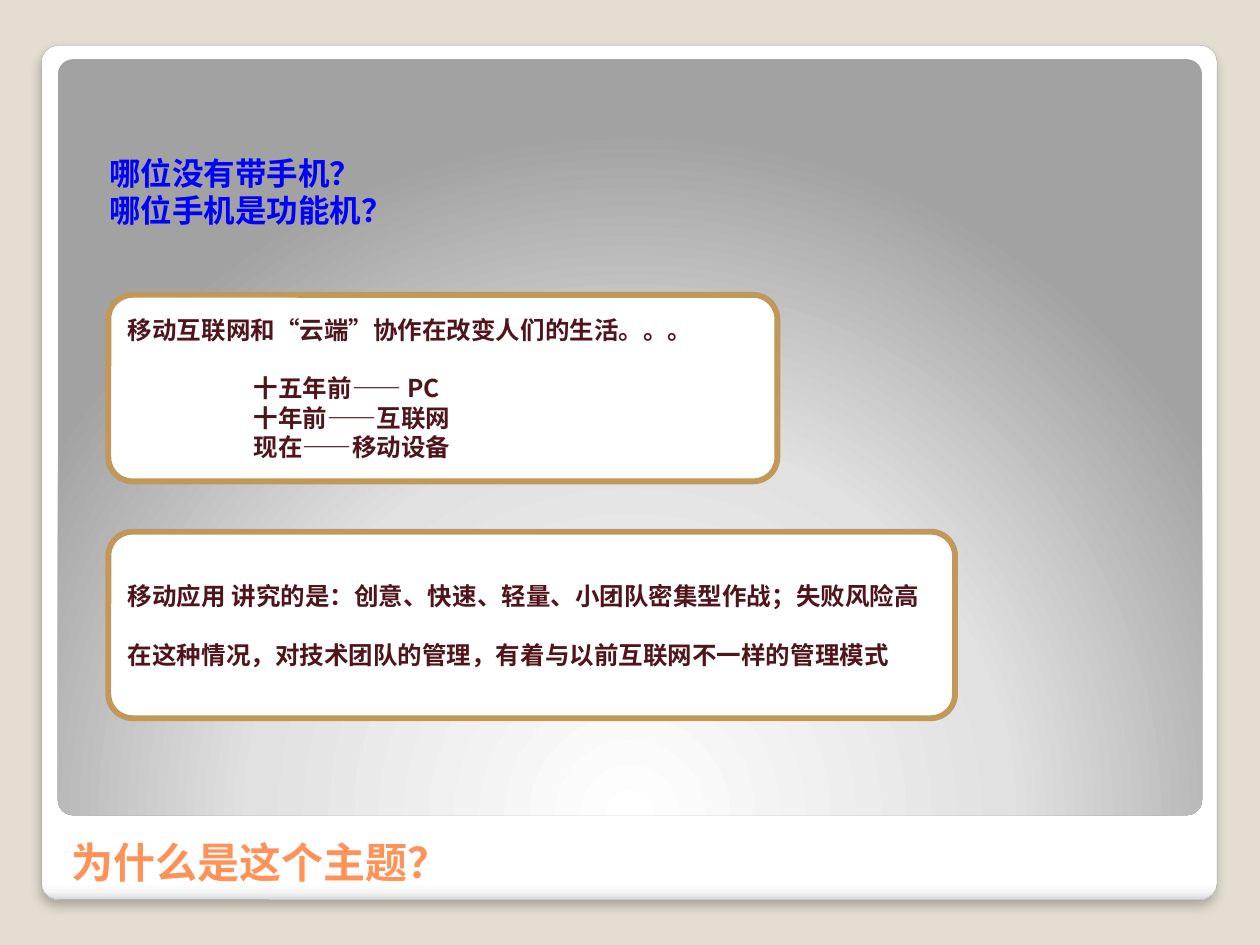
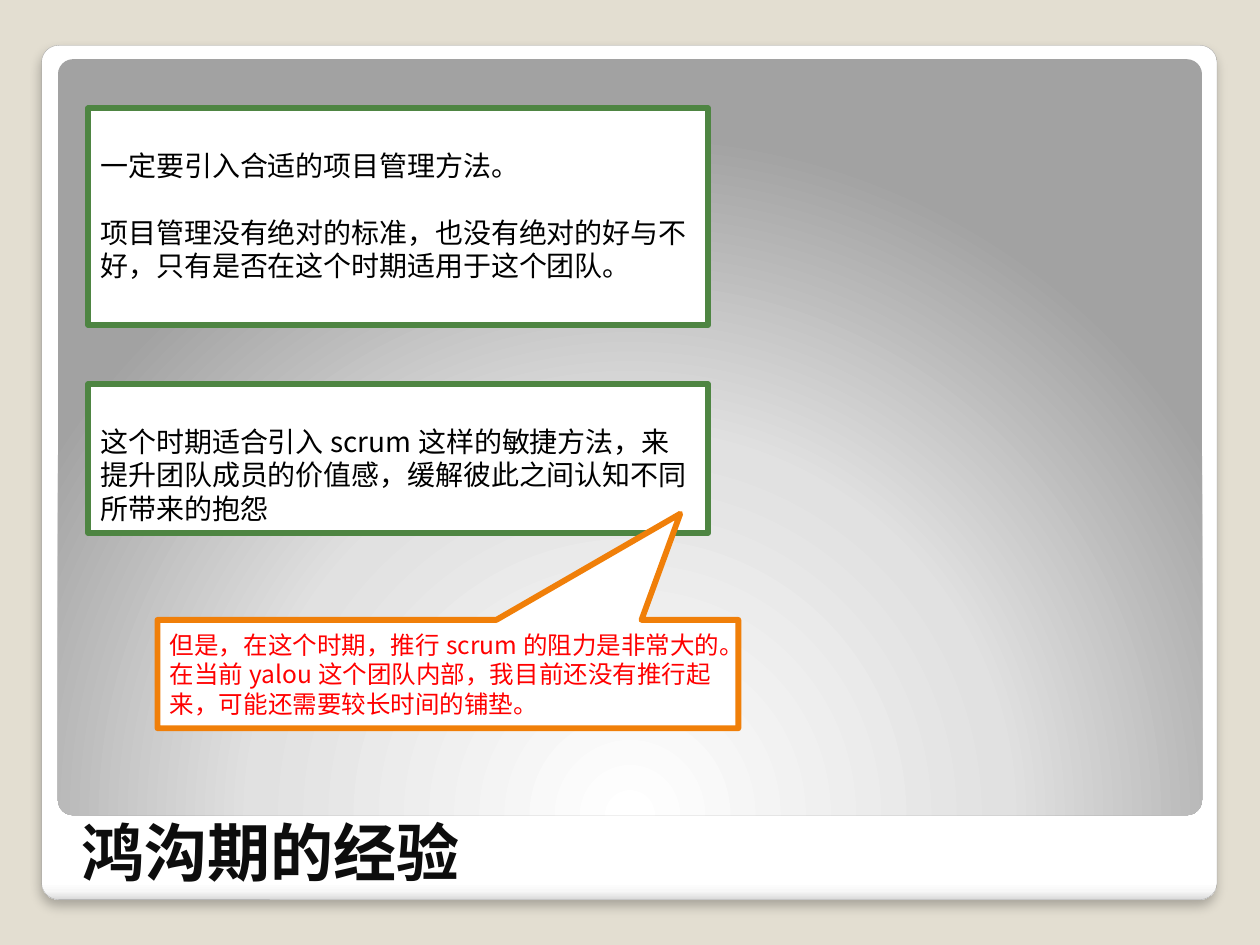
"""Build two slides on why mobile teams need a different style of management."""
from dataclasses import dataclass

from lxml import etree
from pptx import Presentation
from pptx.dml.color import RGBColor
from pptx.enum.lang import MSO_LANGUAGE_ID
from pptx.enum.shapes import MSO_SHAPE
from pptx.enum.text import MSO_ANCHOR, MSO_AUTO_SIZE, PP_ALIGN
from pptx.oxml import parse_xml
from pptx.oxml.ns import nsdecls, qn
from pptx.util import Inches, Pt


@dataclass(frozen=True)
class Theme:
    page: str = "E3DED1"
    white: str = "FFFFFF"
    edge: str = "A4A4A4"
    coral: str = "FF9258"
    ink: str = "0D0D0D"
    black: str = "000000"
    blue: str = "0000FF"
    red: str = "FF0000"
    maroon: str = "50141B"
    tan: str = "C19859"
    green: str = "4E8542"
    orange: str = "F07F09"
    latin: str = "DejaVu Sans"
    cjk: str = "Noto Sans CJK SC"
    small: int = 14
    body: int = 16
    lead: int = 18
    title: int = 24
    big_title: int = 36
    border: float = 3.35
    leading: float = 1.2


T = Theme()
COLS, ROWS = 100, 75
TITLE_W, TITLE_H = 89.5, 11.5
BOX_H = 14.8

prs = Presentation()
prs.slide_width, prs.slide_height = Inches(10), Inches(7.5)
COL, ROW = prs.slide_width / COLS, prs.slide_height / ROWS


def write(s, lines, size, color, font, bold=False, anchor=MSO_ANCHOR.TOP):
    """Fill a shape with left-aligned (text, blank rows above, indent columns) lines."""
    tf = s.text_frame
    tf.word_wrap, tf.auto_size, tf.vertical_anchor = True, MSO_AUTO_SIZE.NONE, anchor
    tf.text = "\n".join(text for text, gap, indent in lines)
    for p, (text, gap, indent) in zip(tf.paragraphs, lines):
        p.alignment = PP_ALIGN.LEFT
        p.space_before = Pt(gap * size * T.leading)
        if indent:
            p._p.get_or_add_pPr().set("marL", str(int(indent * COL)))
        for r in p.runs:
            r.font.size, r.font.bold, r.font.name = Pt(size), bold, font
            r.font.color.rgb = RGBColor.from_string(color)
            r.font.language_id = MSO_LANGUAGE_ID.SIMPLIFIED_CHINESE
            ea = etree.Element(qn("a:ea"), typeface=T.cjk)
            r.font._element.find(qn("a:latin")).addnext(ea)


def add_box(slide, kind, place, line=None, width=T.border, adj=()):
    """Add a white preset shape at a (column, row, columns, rows) place."""
    x, y, w, h = place
    s = slide.shapes.add_shape(kind, int(x * COL), int(y * ROW), int(w * COL), int(h * ROW))
    s.shadow.inherit = False
    s.fill.solid()
    s.fill.fore_color.rgb = RGBColor.from_string(T.white)
    if line:
        s.line.color.rgb = RGBColor.from_string(line)
        s.line.width = Pt(width)
    else:
        s.line.fill.background()
    for i, value in enumerate(adj):
        s.adjustments[i] = value
    return s


titles = [
    ("为什么是这个主题？", (4.7, 59.4), T.title, T.coral),
    ("鸿沟期的经验", (5.5, 59.6), T.big_title, T.ink),
]
why, chasm = [prs.slides.add_slide(prs.slide_layouts[5]) for _ in titles]
for slide, (text, (x, y), size, color) in zip((why, chasm), titles):
    s = slide.shapes.title
    s.left, s.top = int(x * COL), int(y * ROW)
    s.width, s.height = int(TITLE_W * COL), int(TITLE_H * ROW)
    write(s, [(text, 0, 0)], size, color, T.latin, True, MSO_ANCHOR.BOTTOM)

master = prs.slide_master
master.background.fill.solid()
master.background.fill.fore_color.rgb = RGBColor.from_string(T.page)
card = add_box(why, MSO_SHAPE.ROUNDED_RECTANGLE, (3.3, 3.6, 93.3, 67.8), T.edge, 0.16, [0.02])
panel = add_box(why, MSO_SHAPE.ROUNDED_RECTANGLE, (4.6, 4.7, 90.8, 60), adj=[0.02])
frames = [
    (card, [(0, T.white), (98, T.white), (99, "F7F7F7"), (100, "DADADA")],
     '<a:lin ang="5400000" scaled="0"/>'),
    (panel, [(0, T.white), (55, "E1E1E1"), (100, "A2A2A2")],
     '<a:path path="circle"><a:fillToRect l="50000" t="175000" r="50000" b="-75000"/></a:path>'),
]
for i, (s, stops, direction) in enumerate(frames):
    gs = "".join(f'<a:gs pos="{pos * 1000}"><a:srgbClr val="{c}"/></a:gs>' for pos, c in stops)
    grad = parse_xml(f'<a:gradFill {nsdecls("a")} rotWithShape="1">'
                     f'<a:gsLst>{gs}</a:gsLst>{direction}</a:gradFill>')
    solid = s._element.spPr.find(qn("a:solidFill"))
    solid.getparent().replace(solid, grad)
    s._element.nvSpPr.cNvPr.set("id", str(100 + i))
    master.shapes._spTree.insert(2 + i, s._element)
card._element.spPr.find(qn("a:effectLst")).append(parse_xml(
    f'<a:outerShdw {nsdecls("a")} blurRad="{Pt(6)}" dist="{Pt(4)}" dir="5400000" rotWithShape="0">'
    f'<a:srgbClr val="{T.black}"><a:alpha val="25000"/></a:srgbClr></a:outerShdw>'))

why_boxes = [
    (42.2, 67.2, [("移动应用 讲究的是：创意、快速、轻量、小团队密集型作战；失败风险高", 0, 0),
                  ("在这种情况，对技术团队的管理，有着与以前互联网不一样的管理模式", 1, 0)]),
    (23.4, 53.1, [("移动互联网和“云端”协作在改变人们的生活。。。", 0, 0),
                  ("十五年前——PC", 1, 10),
                  ("十年前——互联网", 0, 10),
                  ("现在——移动设备", 0, 10)]),
]
for y, w, lines in why_boxes:
    s = add_box(why, MSO_SHAPE.ROUNDED_RECTANGLE, (8.6, y, w, BOX_H), T.tan, adj=[0.13])
    write(s, lines, T.small, T.maroon, T.cjk, True, MSO_ANCHOR.MIDDLE)

questions = why.shapes.add_textbox(int(7.7 * COL), int(11.7 * ROW), int(39.2 * COL), int(7.1 * ROW))
write(questions, [("哪位没有带手机？", 0, 0), ("哪位手机是功能机？", 0, 0)],
      T.lead, T.blue, T.latin, True)

chasm_boxes = [
    (8.6, 17.2, [("一定要引入合适的项目管理方法。", 0, 0),
                 ("项目管理没有绝对的标准，也没有绝对的好与不好，只有是否在这个时期适用于这个团队。", 1, 0)]),
    (30.5, 11.8, [("这个时期适合引入scrum这样的敏捷方法，来提升团队成员的价值感，"
                   "缓解彼此之间认知不同所带来的抱怨", 0, 0)]),
]
for y, h, lines in chasm_boxes:
    s = add_box(chasm, MSO_SHAPE.RECTANGLE, (7, y, 49.2, h), T.green)
    write(s, lines, T.body, T.black, T.cjk)
    s.text_frame.margin_top += Pt(T.body * T.leading)

callout = add_box(chasm, MSO_SHAPE.RECTANGULAR_CALLOUT, (12.5, 49.2, 46.1, 8.6), T.orange,
                  adj=[0.4, -1.48])
write(callout, [("但是，在这个时期，推行scrum的阻力是非常大的。", 0, 0),
                ("在当前yalou这个团队内部，我目前还没有推行起来，可能还需要较长时间的铺垫。", 0, 0)],
      T.small, T.red, T.cjk, anchor=MSO_ANCHOR.MIDDLE)

prs.save("out.pptx")
